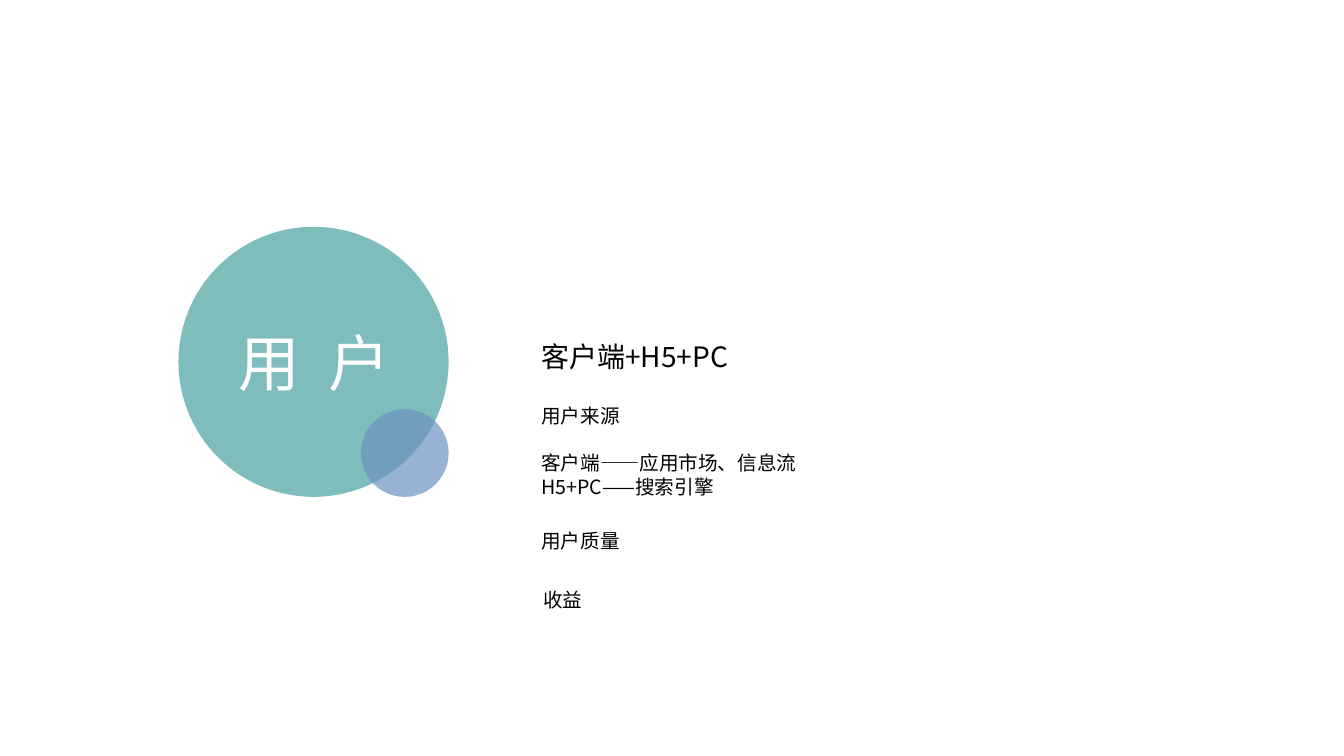
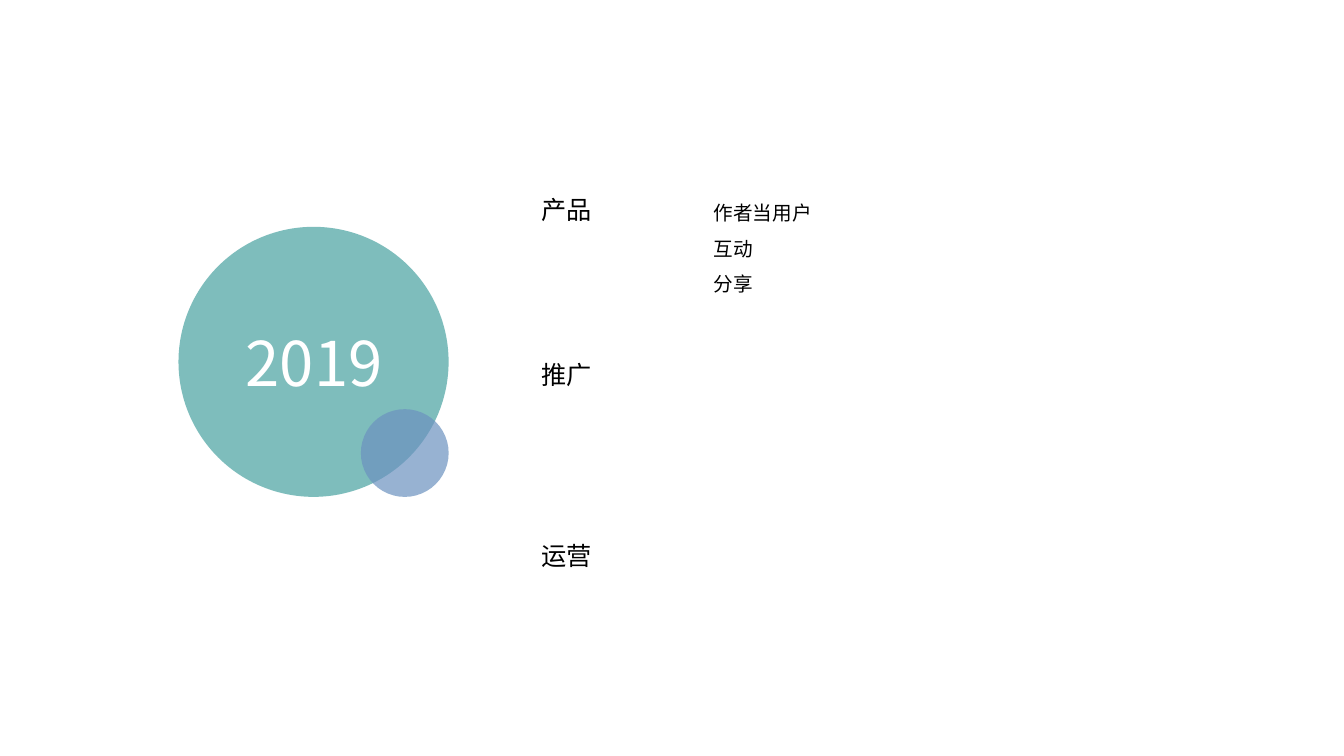
import pptx
import pptx.dml.color
import pptx.enum.shapes
import pptx.enum.text
import pptx.oxml
import pptx.oxml.ns
import pptx.util

COLOURS = {"teal": "48A2A0", "blue": "6C92C0", "white": "FFFFFF", "black": "000000"}
FONT = "Noto Sans CJK SC"
TEXT_LEFT = 39.53
TEXT_WIDTH = 50


class Deck:
    def __init__(self):
        self.presentation = pptx.Presentation()
        self.presentation.slide_width = pptx.util.Inches(13.33)
        self.presentation.slide_height = pptx.util.Inches(7.5)
        self.slide = None

    def across(self, percent):
        return round(self.presentation.slide_width * percent / 100)

    def down(self, percent):
        return round(self.presentation.slide_height * percent / 100)

    def place(self, left, top, width, height):
        return self.across(left), self.down(top), self.across(width), self.down(height)

    def colour(self, name):
        return pptx.dml.color.RGBColor.from_string(COLOURS[name])

    def circle(self, left, top, diameter, colour):
        shape = self.slide.shapes.add_shape(
            pptx.enum.shapes.MSO_SHAPE.OVAL, left, top, diameter, diameter)
        shape.shadow.inherit = False
        shape.line.fill.background()
        shape.fill.solid()
        shape.fill.fore_color.rgb = self.colour(colour)
        tint = shape.element.spPr.find(".//" + pptx.oxml.ns.qn("a:srgbClr"))
        tint.append(pptx.oxml.parse_xml(
            '<a:alpha %s val="70000"/>' % pptx.oxml.ns.nsdecls("a")))

    def run(self, paragraph, words, size, colour):
        run = paragraph.add_run()
        run.text = words
        run.font.size = pptx.util.Pt(size)
        run.font.bold = False
        run.font.name = FONT
        run.font.color.rgb = self.colour(colour)
        run.font.language_id = None
        run.font._element.append(pptx.oxml.parse_xml(
            '<a:ea %s typeface="%s"/>' % (pptx.oxml.ns.nsdecls("a"), FONT)))
        return run

    def title(self, *words):
        size = 44
        shape = self.slide.shapes.title
        shape.left, shape.top, shape.width, shape.height = self.place(7.13, 42.27, 32.48, 12.4)
        self.slide.shapes.element.append(shape.element)
        frame = shape.text_frame
        frame.word_wrap = True
        frame.auto_size = pptx.enum.text.MSO_AUTO_SIZE.NONE
        frame.vertical_anchor = pptx.enum.text.MSO_ANCHOR.TOP
        paragraph = frame.paragraphs[0]
        paragraph.alignment = pptx.enum.text.PP_ALIGN.CENTER
        paragraph.line_spacing = pptx.util.Pt(1.2 * size)
        for index, word in enumerate(words):
            if index:
                gap = self.run(paragraph, " ", size, "white")
                gap.font._element.set("spc", "1000")
            self.run(paragraph, word, size, "white")

    def start(self, *title):
        self.slide = self.presentation.slides.add_slide(self.presentation.slide_layouts[5])
        left, top = self.across(13.28), self.down(30)
        large, small = self.across(20.1), self.across(6.53)
        self.circle(left, top, large, "teal")
        self.circle(left + large - small, top + large - small, small, "blue")
        self.title(*title)

    def text(self, lines, top, size, height, left=TEXT_LEFT, width=TEXT_WIDTH,
             wrap=True, spacing=1, gap_line=None):
        box = self.slide.shapes.add_textbox(*self.place(left, top, width, height))
        frame = box.text_frame
        frame.word_wrap = wrap
        for index, line in enumerate(lines):
            paragraph = frame.add_paragraph() if index else frame.paragraphs[0]
            paragraph.line_spacing = pptx.util.Pt(1.2 * size * spacing)
            if index == gap_line:
                paragraph.space_before = pptx.util.Pt(1.2 * size)
            self.run(paragraph, line, size, "black")


def main():
    deck = Deck()

    deck.start("用", "户")
    deck.text(["客户端+H5+PC"], 44.27, 20, 5.87, width=16.5, wrap=False)
    deck.text(["用户来源", "客户端——应用市场、信息流", "H5+PC——搜索引擎"],
              52.8, 14, 13.87, gap_line=1)
    deck.text(["用户质量"], 69.33, 14, 7.6)
    deck.text(["收益"], 77.07, 14, 7.6, left=39.68)

    deck.start("2019")
    for topic, top in (("产品", 25.07), ("推广", 46.93), ("运营", 70.8)):
        deck.text([topic], top, 18, 5.33, width=5.33, wrap=False)
    deck.text(["作者当用户", "互动", "分享"], 24.4, 14, 20.13,
              left=52.36, width=8.85, wrap=False, spacing=1.5)

    deck.presentation.save("out.pptx")


if __name__ == "__main__":
    main()
